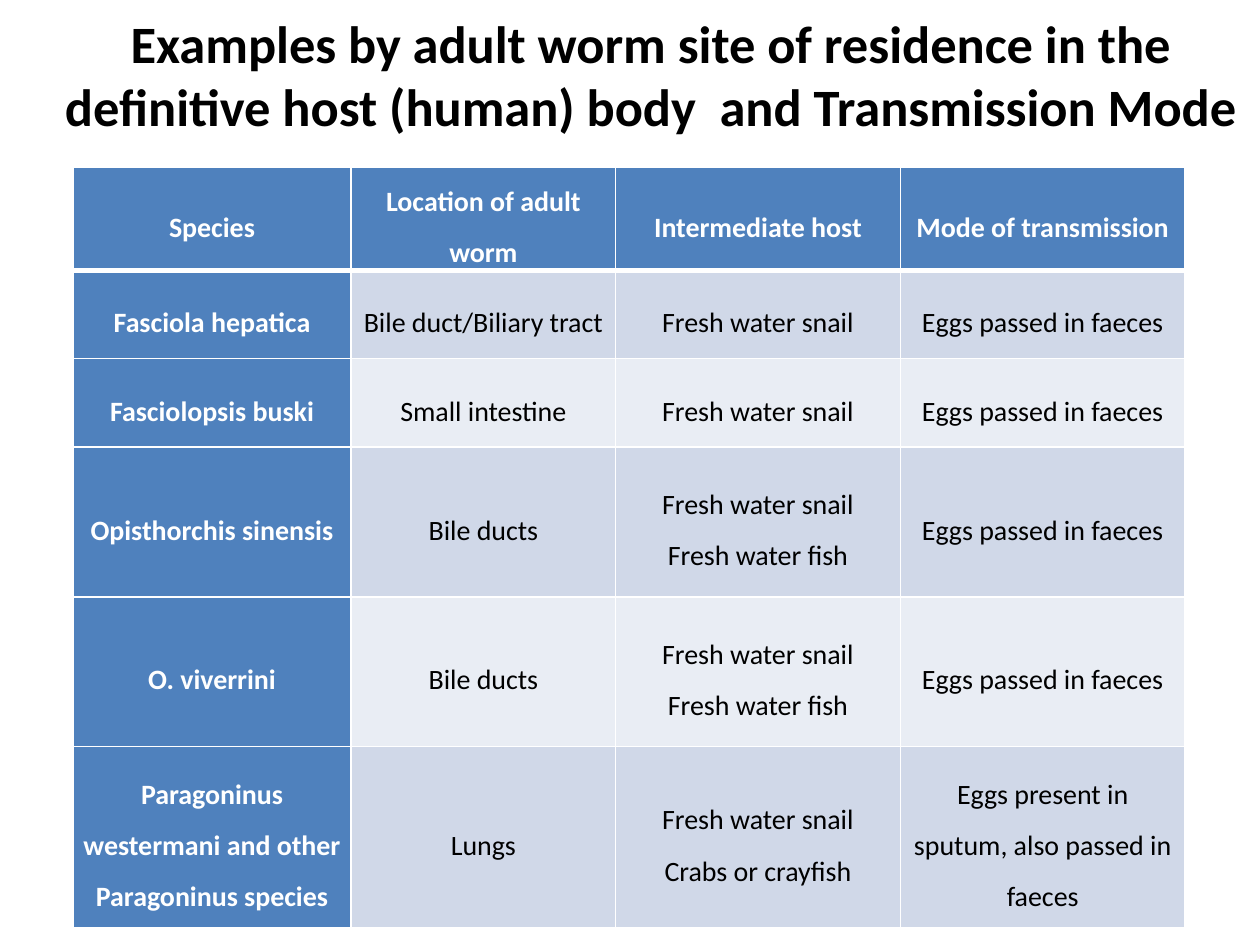
from dataclasses import dataclass

import pptx
import pptx.dml.color
import pptx.enum.text
import pptx.oxml
import pptx.oxml.ns
import pptx.util
from pptx.util import Cm, Pt

FONT = "Calibri"
BLACK, WHITE, BLUE = "000000", "FFFFFF", "4F81BD"
BANDS = ("D0D8E8", "E9EDF4")
TITLE = ("Examples by adult worm site of residence in the definitive host "
         "(human) body  and Transmission Mode")
HEADINGS = ("Species", "Location of adult worm", "Intermediate host",
            "Mode of transmission")
COLUMN_WIDTHS = (5.61, 5.33, 5.74, 5.74)
HEADER_HEIGHT = 1.63
SNAIL, FISH = "Fresh water snail", "Fresh water fish"
FAECES = "Eggs passed in faeces"
MIDDLE = pptx.enum.text.MSO_ANCHOR.MIDDLE
CENTER = pptx.enum.text.PP_ALIGN.CENTER


@dataclass(frozen=True)
class Worm:
    species: str
    location: str
    hosts: tuple[str, ...]
    transmission: str
    height: float


WORMS = (
    Worm("Fasciola hepatica", "Bile duct/Biliary tract", (SNAIL,), FAECES, 1.78),
    Worm("Fasciolopsis buski", "Small intestine", (SNAIL,), FAECES, 1.78),
    Worm("Opisthorchis sinensis", "Bile ducts", (SNAIL, FISH), FAECES, 3.02),
    Worm("O. viverrini", "Bile ducts", (SNAIL, FISH), FAECES, 3.02),
    Worm("Paragoninus westermani and other Paragoninus species", "Lungs",
         (SNAIL, "Crabs or crayfish"),
         "Eggs present in sputum, also passed in faeces", 3.66),
)


def rgb(color: str) -> pptx.dml.color.RGBColor:
    return pptx.dml.color.RGBColor.from_string(color)


def add_run(paragraph, text: str, size: float, color: str, bold: bool) -> None:
    run = paragraph.add_run()
    run.text = text
    run.font.name = FONT
    run.font.size = Pt(size)
    run.font.bold = bold
    run.font.color.rgb = rgb(color)


def add_borders(cell, top: float, bottom: float) -> None:
    """Draw white cell edges, with the top and bottom widths in points."""
    properties = cell._tc.get_or_add_tcPr()
    namespace = pptx.oxml.ns.nsdecls("a")
    for side, width in (("L", 1), ("R", 1), ("T", top), ("B", bottom)):
        properties.append(pptx.oxml.parse_xml(
            f'<a:ln{side} {namespace} w="{Pt(width)}"><a:solidFill>'
            f'<a:srgbClr val="{WHITE}"/></a:solidFill></a:ln{side}>'))


def fill_cell(cell, lines: tuple[str, ...], fill: str, row: int) -> None:
    add_borders(cell, top=3 if row == 1 else 1, bottom=3 if row == 0 else 1)
    cell.fill.solid()
    cell.fill.fore_color.rgb = rgb(fill)
    cell.vertical_anchor = MIDDLE
    cell.margin_left = cell.margin_right = Cm(0.15)
    cell.margin_top = cell.margin_bottom = 0
    heading = fill == BLUE
    for index, line in enumerate(lines):
        frame = cell.text_frame
        paragraph = frame.add_paragraph() if index else frame.paragraphs[0]
        paragraph.alignment = CENTER
        paragraph.line_spacing = 1.5
        add_run(paragraph, line, 16, WHITE if heading else BLACK, heading)


def add_title(slide) -> None:
    title = slide.shapes.title
    title.left, title.top = Cm(0.43), Cm(0.76)
    title.width, title.height = Cm(25.4), Cm(2.62)
    frame = title.text_frame
    frame.word_wrap = True
    frame.auto_size = pptx.enum.text.MSO_AUTO_SIZE.NONE
    frame.vertical_anchor = MIDDLE
    frame.margin_top, frame.margin_bottom = 0, Cm(1.14)
    paragraph = frame.paragraphs[0]
    paragraph.alignment = CENTER
    add_run(paragraph, TITLE, 30, BLACK, True)


def add_worm_table(slide) -> None:
    heights = (HEADER_HEIGHT, *(worm.height for worm in WORMS))
    table = slide.shapes.add_table(
        len(heights), len(HEADINGS), Cm(1.47), Cm(3.38),
        Cm(sum(COLUMN_WIDTHS)), Cm(sum(heights))).table
    table.first_col = True
    for column, width in zip(table.columns, COLUMN_WIDTHS):
        column.width = Cm(width)
    for row, height in zip(table.rows, heights):
        row.height = Cm(height)
    for column, heading in enumerate(HEADINGS):
        fill_cell(table.cell(0, column), (heading,), BLUE, 0)
    for row, worm in enumerate(WORMS, start=1):
        entries = ((worm.species,), (worm.location,), worm.hosts,
                   (worm.transmission,))
        band = BANDS[(row - 1) % 2]
        for column, lines in enumerate(entries):
            fill_cell(table.cell(row, column), lines,
                      band if column else BLUE, row)


def main() -> None:
    presentation = pptx.Presentation()
    presentation.slide_width, presentation.slide_height = Cm(25.4), Cm(19.05)
    slide = presentation.slides.add_slide(
        presentation.slide_layouts.get_by_name("Title Only"))
    add_title(slide)
    add_worm_table(slide)
    presentation.save("out.pptx")


if __name__ == "__main__":
    main()
